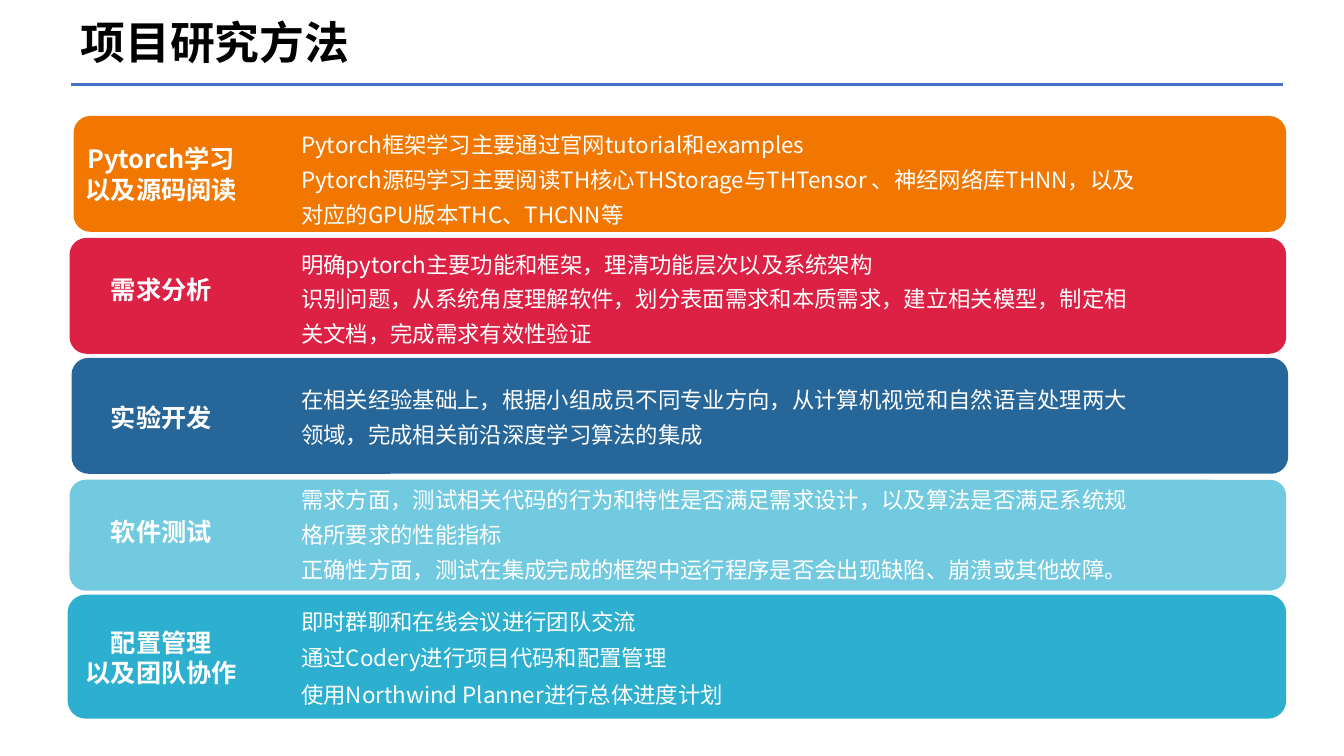
from dataclasses import dataclass

from lxml import etree
from pptx import Presentation
from pptx.dml.color import RGBColor
from pptx.enum.shapes import MSO_CONNECTOR, MSO_SHAPE
from pptx.enum.text import MSO_ANCHOR, MSO_AUTO_SIZE, PP_ALIGN
from pptx.oxml.ns import qn
from pptx.slide import Slide
from pptx.util import Pt

STRAIGHT = MSO_CONNECTOR.STRAIGHT
ROUNDED_RECTANGLE = MSO_SHAPE.ROUNDED_RECTANGLE
TOP, MIDDLE = MSO_ANCHOR.TOP, MSO_ANCHOR.MIDDLE
FIT_SHAPE = MSO_AUTO_SIZE.SHAPE_TO_FIT_TEXT
LEFT, CENTER = PP_ALIGN.LEFT, PP_ALIGN.CENTER


@dataclass(frozen=True)
class Theme:
    font: str = "Noto Sans CJK SC"
    title_color: str = "000000"
    text_color: str = "FFFFFF"
    rule_color: str = "4472C4"
    orange: str = "F17700"
    red: str = "DC2144"
    navy: str = "276698"
    sky: str = "71CAE0"
    teal: str = "2DAFCF"
    title_size: float = 32
    label_size: float = 18
    note_size: float = 16
    note_spacing: float = 1.3


THEME = Theme()


@dataclass(frozen=True)
class TextStyle:
    size: float
    color: str
    bold: bool = False
    alignment: PP_ALIGN = LEFT
    anchor: MSO_ANCHOR = TOP
    line_spacing: float | None = None


TITLE_STYLE = TextStyle(THEME.title_size, THEME.title_color, bold=True)
LABEL_STYLE = TextStyle(THEME.label_size, THEME.text_color, True, CENTER, MIDDLE)
NOTE_STYLE = TextStyle(THEME.note_size, THEME.text_color, line_spacing=THEME.note_spacing)


@dataclass(frozen=True)
class Box:
    left: float
    top: float
    width: float
    height: float


@dataclass(frozen=True)
class Note:
    top: float
    lines: int
    text: str


@dataclass(frozen=True)
class Band:
    box: Box
    color: str
    label: str
    label_middle: float
    notes: tuple[Note, ...]


BANDS = (
    Band(Box(52.56, 82.8, 866.16, 82.8), THEME.orange, "Pytorch学习\n以及源码阅读", 124.2, (
        Note(84.24, 1, "Pytorch框架学习主要通过官网tutorial和examples"),
        Note(109.44, 2, "Pytorch源码学习主要阅读TH核心THStorage与THTensor 、神经网络库THNN，"
                        "以及对应的GPU版本THC、THCNN等"),
    )),
    Band(Box(49.68, 169.92, 869.04, 82.8), THEME.red, "需求分析", 206.64, (
        Note(169.92, 1, "明确pytorch主要功能和框架，理清功能层次以及系统架构"),
        Note(194.4, 2, "识别问题，从系统角度理解软件，划分表面需求和本质需求，建立相关模型，"
                       "制定相关文档，完成需求有效性验证"),
    )),
    Band(Box(51.12, 255.6, 869.04, 82.8), THEME.navy, "实验开发", 298.08, (
        Note(266.4, 3, "在相关经验基础上，根据小组成员不同专业方向，从计算机视觉和自然语言处理"
                       "两大领域，完成相关前沿深度学习算法的集成"),
    )),
    Band(Box(49.68, 342.72, 869.04, 79.2), THEME.sky, "软件测试", 379.44, (
        Note(337.68, 2, "需求方面，测试相关代码的行为和特性是否满足需求设计，以及算法是否满足"
                        "系统规格所要求的性能指标"),
        Note(388.08, 1, "正确性方面，测试在集成完成的框架中运行程序是否会出现缺陷、崩溃或其他故障。"),
    )),
    Band(Box(48.24, 424.8, 870.48, 88.56), THEME.teal, "配置管理\n以及团队协作", 469.8, (
        Note(424.8, 1, "即时群聊和在线会议进行团队交流"),
        Note(450.72, 1, "通过Codery进行项目代码和配置管理"),
        Note(477.36, 1, "使用Northwind Planner进行总体进度计划"),
    )),
)


def add_text(slide: Slide, box: Box, text: str, style: TextStyle) -> None:
    shape = slide.shapes.add_textbox(Pt(box.left), Pt(box.top), Pt(box.width), Pt(box.height))
    text_frame = shape.text_frame
    text_frame.text = text
    text_frame.word_wrap = True
    text_frame.auto_size = FIT_SHAPE
    text_frame.vertical_anchor = style.anchor
    for paragraph in text_frame.paragraphs:
        paragraph.alignment = style.alignment
        paragraph.line_spacing = style.line_spacing
        for run in paragraph.runs:
            run.font.name = THEME.font
            run.font.size = Pt(style.size)
            run.font.bold = style.bold
            run.font.color.rgb = RGBColor.from_string(style.color)
            east_asian = etree.SubElement(run.font._element, qn("a:ea"))
            east_asian.set("typeface", THEME.font)


def add_rule(slide: Slide) -> None:
    rule = slide.shapes.add_connector(STRAIGHT, Pt(50.4), Pt(60.48), Pt(916.56), Pt(60.48))
    rule.line.color.rgb = RGBColor.from_string(THEME.rule_color)
    rule.line.width = Pt(2.5)
    etree.SubElement(rule._element.spPr, qn("a:effectLst"))


def add_band(slide: Slide, band: Band) -> None:
    box = band.box
    shape = slide.shapes.add_shape(
        ROUNDED_RECTANGLE, Pt(box.left), Pt(box.top), Pt(box.width), Pt(box.height))
    shape.adjustments[0] = 0.146
    shape.shadow.inherit = False
    shape.fill.solid()
    shape.fill.fore_color.rgb = RGBColor.from_string(band.color)
    shape.line.fill.background()


def add_band_text(slide: Slide, band: Band) -> None:
    label_height = 29 + 22 * band.label.count("\n")
    label_box = Box(43.2, band.label_middle - label_height / 2, 144, label_height)
    add_text(slide, label_box, band.label, LABEL_STYLE)
    for note in band.notes:
        note_box = Box(208.08, note.top, 617.76, 5.04 + 25.2 * note.lines)
        add_text(slide, note_box, note.text, NOTE_STYLE)


def main() -> None:
    presentation = Presentation()
    presentation.slide_width = Pt(960)
    presentation.slide_height = Pt(540)
    slide = presentation.slides.add_slide(presentation.slide_layouts[6])
    add_text(slide, Box(50.4, 7.2, 231.12, 46.08), "项目研究方法", TITLE_STYLE)
    add_rule(slide)
    for band in BANDS:
        add_band(slide, band)
    for band in BANDS:
        add_band_text(slide, band)
    presentation.save("out.pptx")


if __name__ == "__main__":
    main()
